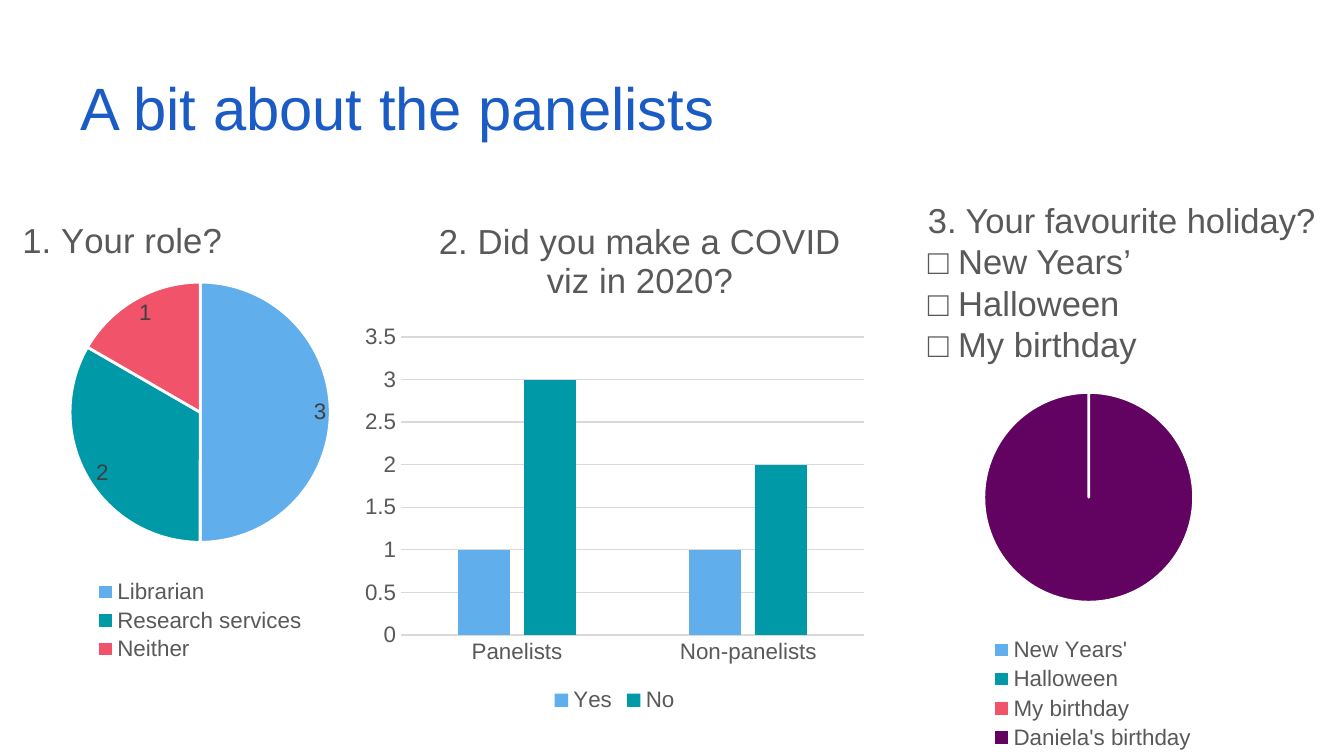
from lxml.etree import SubElement
from pptx import Presentation
from pptx.chart.data import CategoryChartData
from pptx.dml.color import RGBColor
from pptx.enum.chart import XL_CHART_TYPE, XL_LABEL_POSITION, XL_LEGEND_POSITION, XL_TICK_MARK
from pptx.enum.text import MSO_ANCHOR, MSO_AUTO_SIZE
from pptx.oxml.ns import qn
from pptx.util import Pt

FONT = "Arial"
COLORS = {
    "heading": "1B5BC6", "text": "595959", "label": "404040", "grid": "D9D9D9",
    "white": "FFFFFF", "blue": "61AEED", "teal": "0099A8", "red": "F0536A",
    "purple": "630361",
}
SERIES_COLORS = ["blue", "teal", "red", "purple"]


def color(name):
    return RGBColor.from_string(COLORS[name])


def style_font(font, size, color_name="text"):
    font.name = FONT
    font.size = Pt(size)
    font.bold = False
    font.color.rgb = color(color_name)


def paint(chart_format, color_name):
    chart_format.fill.solid()
    chart_format.fill.fore_color.rgb = color(color_name)


def add_text(slide, box, lines, size, color_name, anchor=MSO_ANCHOR.TOP):
    frame = slide.shapes.add_textbox(*map(Pt, box)).text_frame
    frame.word_wrap = True
    frame.auto_size = MSO_AUTO_SIZE.NONE
    frame.vertical_anchor = anchor
    frame.text = "\n".join(lines)
    for paragraph in frame.paragraphs:
        style_font(paragraph.font, size, color_name)


def set_layout(element, position, inner=False):
    """Place a chart part by fractions of the chart: x, y and maybe w, h."""
    layout = element.get_or_add_layout() if hasattr(element, "get_or_add_layout") else None
    if layout is None:
        layout = element.find(qn("c:layout"))
    if layout is None:
        layout = SubElement(element, qn("c:layout"))
        element.remove(layout)
        before = element.find(qn("c:overlay"))
        if inner:
            element.insert(0, layout)
        elif before is not None:
            before.addprevious(layout)
        else:
            element.append(layout)
    for child in list(layout):
        layout.remove(child)
    manual = SubElement(layout, qn("c:manualLayout"))
    if inner:
        SubElement(manual, qn("c:layoutTarget"), val="inner")
    for axis in "xy":
        SubElement(manual, qn(f"c:{axis}Mode"), val="edge")
    for key, value in zip("xywh", position):
        SubElement(manual, qn(f"c:{key}"), val=str(value))


def add_chart(slide, kind, box, categories, series, plot_area, legend_area,
              title=None, title_position=None):
    data = CategoryChartData()
    data.categories = categories
    for name, values in series.items():
        data.add_series(name, values)
    chart = slide.shapes.add_chart(kind, *map(Pt, box), data).chart
    chart.font.name = FONT
    chart.font.size = Pt(10)
    chart.has_title = title is not None
    if title:
        chart.chart_title.text_frame.text = title
        style_font(chart.chart_title.text_frame.paragraphs[0].font, 18.6)
        chart.chart_title.include_in_layout = False
        set_layout(chart.chart_title._element, title_position)
    chart.has_legend = True
    chart.legend.position = XL_LEGEND_POSITION.BOTTOM
    chart.legend.include_in_layout = False
    style_font(chart.legend.font, 12)
    set_layout(chart.legend._element, legend_area)
    set_layout(chart._chartSpace.chart.plotArea, plot_area, inner=True)
    return chart


def add_pie(slide, box, categories, values, **parts):
    chart = add_chart(slide, XL_CHART_TYPE.PIE, box, categories,
                      {"Series 1": values}, **parts)
    chart.plots[0].vary_by_categories = True
    series = chart.plots[0].series[0]
    for index, name in enumerate(SERIES_COLORS[:len(categories)]):
        point_format = series.points[index].format
        paint(point_format, name)
        point_format.line.color.rgb = color("white")
        point_format.line.width = Pt(1.5)
    return chart


def add_columns(slide, box, categories, series, **parts):
    chart = add_chart(slide, XL_CHART_TYPE.COLUMN_CLUSTERED, box, categories,
                      series, **parts)
    plot = chart.plots[0]
    plot.vary_by_categories = False
    plot.gap_width = 219
    plot.overlap = -27
    for column, name in zip(plot.series, SERIES_COLORS):
        paint(column.format, name)
    for axis in (chart.category_axis, chart.value_axis):
        axis.major_tick_mark = axis.minor_tick_mark = XL_TICK_MARK.NONE
        style_font(axis.tick_labels.font, 12)
    chart.value_axis.format.line.fill.background()
    chart.value_axis.has_major_gridlines = True
    for line in (chart.category_axis.format.line,
                 chart.value_axis.major_gridlines.format.line):
        line.color.rgb = color("grid")
        line.width = Pt(0.75)


def show_values(chart):
    labels = chart.plots[0].series[0].data_labels
    labels.show_value = True
    labels.position = XL_LABEL_POSITION.BEST_FIT
    style_font(labels.font, 12, "label")


def main():
    presentation = Presentation()
    presentation.slide_width, presentation.slide_height = Pt(720), Pt(405)
    slide = presentation.slides.add_slide(presentation.slide_layouts[6])

    # Heading
    add_text(slide, (36, 34, 648, 46), ["A bit about the panelists"], 32,
             "heading", MSO_ANCHOR.MIDDLE)

    # Question 1: roles
    roles = add_pie(slide, (0, 103, 214.5, 253.5),
                    ["Librarian", "Research services", "Neither"], [3, 2, 1],
                    plot_area=(0.17, 0.19, 0.66, 0.55),
                    legend_area=(0.23, 0.81, 0.54, 0.19),
                    title="1. Your role?", title_position=(0.04, 0.04))
    show_values(roles)

    # Question 2: visualizations made
    add_columns(slide, (190, 105, 278.5, 280), ["Panelists", "Non-panelists"],
                {"Yes": [1, 1], "No": [3, 2]},
                plot_area=(0.09, 0.27, 0.89, 0.57),
                legend_area=(0.37, 0.93, 0.26, 0.07),
                title="2. Did you make a COVID viz in 2020?",
                title_position=(0.15, 0.03))

    # Question 3: holidays
    add_text(slide, (490, 103, 230, 97),
             ["3. Your favourite holiday?", "□ New Years’", "□ Halloween",
              "□ My birthday"], 18.5, "text")
    add_pie(slide, (468.5, 200, 229.5, 204.5),
            ["New Years'", "Halloween", "My birthday", "Daniela's birthday"],
            [0, 0, 0, 100], plot_area=(0.25, 0.05, 0.5, 0.55),
            legend_area=(0.26, 0.68, 0.5, 0.32))

    presentation.save("out.pptx")


if __name__ == "__main__":
    main()
